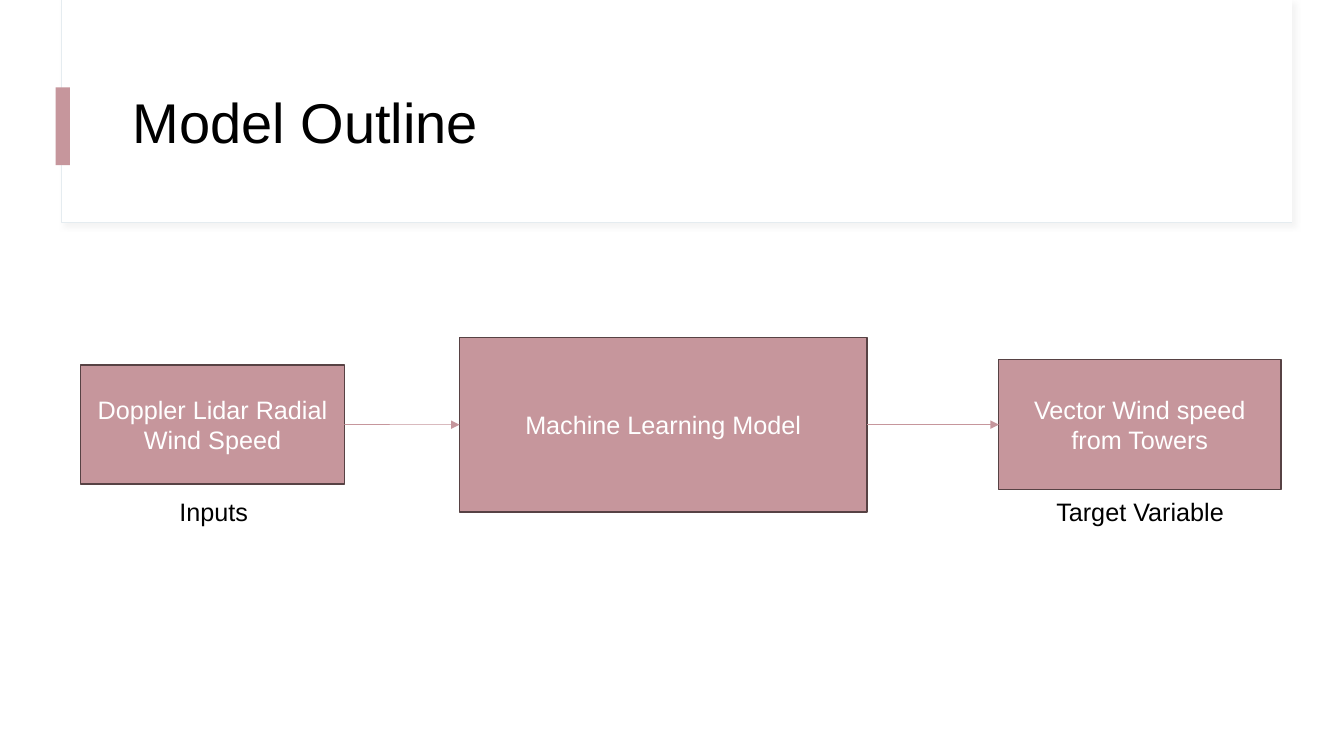
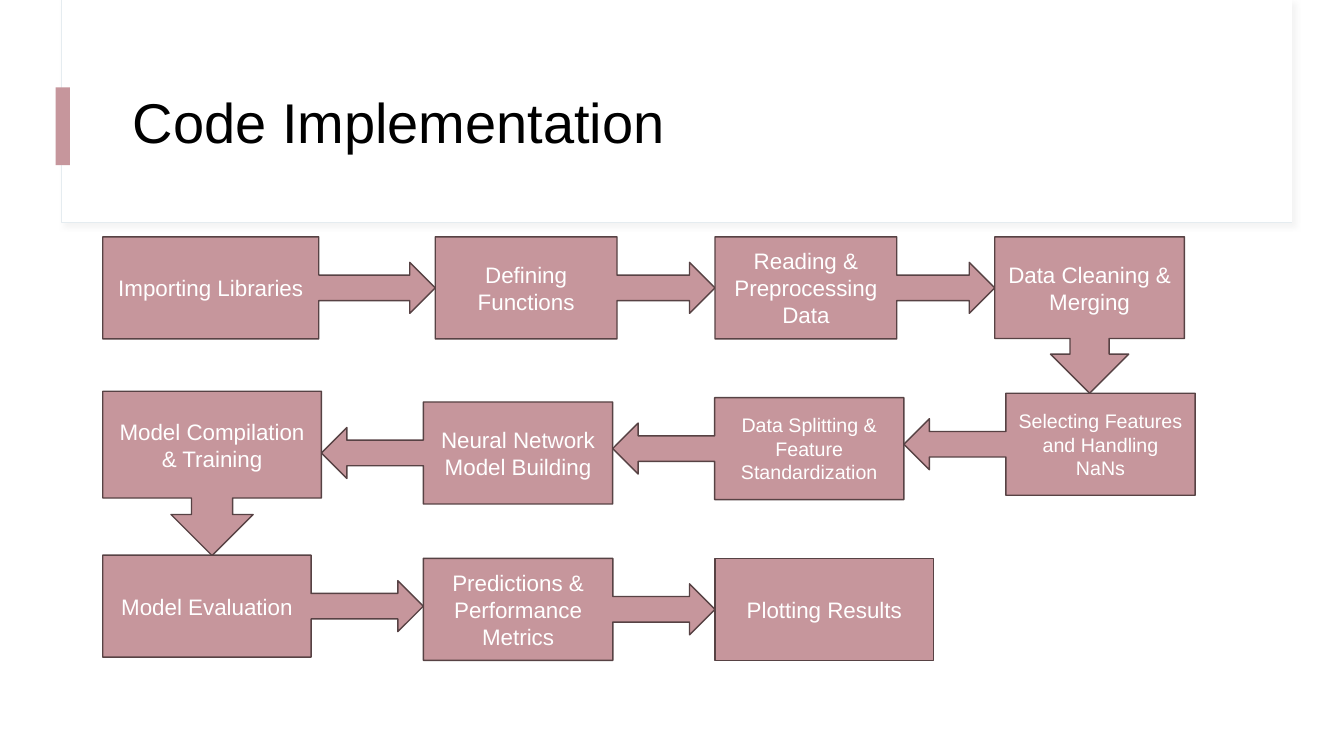
from dataclasses import dataclass

from lxml.etree import SubElement
from pptx import Presentation
from pptx.dml.color import RGBColor
from pptx.enum.shapes import MSO_CONNECTOR, MSO_SHAPE
from pptx.enum.text import MSO_ANCHOR, MSO_AUTO_SIZE, PP_ALIGN
from pptx.oxml.ns import qn
from pptx.util import Cm, Pt


@dataclass(frozen=True)
class Theme:
    font: str = "Arial"
    paper: str = "FFFFFF"
    ink: str = "000000"
    accent: str = "C6969C"
    outline: str = "574244"
    panel_edge: str = "E5ECF0"
    shadow: str = "D9D9D9"
    title_size: int = 40
    body_size: int = 18
    step_size: int = 16
    small_step_size: int = 14


@dataclass(frozen=True)
class Box:
    """A rectangle measured in centimetres."""
    left: float
    top: float
    width: float
    height: float

    @property
    def lengths(self):
        return [Cm(value) for value in (self.left, self.top, self.width, self.height)]


@dataclass(frozen=True)
class Step:
    """One flow step; drop is its vertical offset from the top of its row."""
    text: str
    width: float
    geometry: MSO_SHAPE
    drop: float = 0
    height: float = 2.57
    size: int = Theme.step_size


THEME = Theme()
HEADER = Box(1.55, 0, 31.01, 5.61)
OUTLINE_REGION = Box(2.03, 8.5, 30.25, 4.4)
FLOW_REGION = Box(2.59, 5.97, 27.53, 10.67)

RECTANGLE = MSO_SHAPE.RECTANGLE
RIGHT = MSO_SHAPE.RIGHT_ARROW_CALLOUT
LEFT = MSO_SHAPE.LEFT_ARROW_CALLOUT
DOWN = MSO_SHAPE.DOWN_ARROW_CALLOUT

# Each row: offset from the region top, reading direction, steps in reading order.
FLOW_ROWS = [
    (0, 1, [
        Step("Importing Libraries", 8.38, RIGHT),
        Step("Defining Functions", 7.05, RIGHT),
        Step("Reading & Preprocessing Data", 7.05, RIGHT),
        Step("Data Cleaning & Merging", 4.78, DOWN, height=3.94),
    ]),
    (3.94, -1, [
        Step("Selecting Features and Handling NaNs", 7.34, LEFT,
             size=THEME.small_step_size),
        Step("Data Splitting & Feature Standardization", 7.34, LEFT, 0.11,
             size=THEME.small_step_size),
        Step("Neural Network Model Building", 7.34, LEFT, 0.22),
        Step("Model Compilation & Training", 5.51, DOWN, -0.05, 4.14),
    ]),
    (8.02, 1, [
        Step("Model Evaluation", 8.08, RIGHT),
        Step("Predictions & Performance Metrics", 7.35, RIGHT, 0.08),
        Step("Plotting Results", 5.51, RECTANGLE, 0.08),
    ]),
]


def color(value):
    return RGBColor.from_string(value)


def write_text(shape, text, size, ink):
    frame = shape.text_frame
    frame.word_wrap = True
    frame.text = text
    paragraph = frame.paragraphs[0]
    font = paragraph.runs[0].font
    font.name, font.size = THEME.font, Pt(size)
    font.color.rgb = color(ink)
    return paragraph


def add_filled_shape(shapes, geometry, box, fill, line=None, line_width=1):
    shape = shapes.add_shape(geometry, *box.lengths)
    shape.fill.solid()
    shape.fill.fore_color.rgb = color(fill)
    if line:
        shape.line.color.rgb = color(line)
        shape.line.width = Pt(line_width)
    else:
        shape.line.fill.background()
    shape.shadow.inherit = False
    return shape


def add_text_block(shapes, geometry, box, text, size):
    """Add an accent-coloured shape with centred white text."""
    shape = add_filled_shape(shapes, geometry, box, THEME.accent, THEME.outline)
    paragraph = write_text(shape, text, size, THEME.paper)
    paragraph.alignment = PP_ALIGN.CENTER
    shape.text_frame.vertical_anchor = MSO_ANCHOR.MIDDLE
    return shape


def add_label(slide, box, text):
    label = slide.shapes.add_textbox(*box.lengths)
    write_text(label, text, THEME.body_size, THEME.ink)
    label.text_frame.auto_size = MSO_AUTO_SIZE.SHAPE_TO_FIT_TEXT


def add_soft_shadow(shape):
    effects = shape.element.spPr.find(qn("a:effectLst"))
    shadow = SubElement(effects, qn("a:outerShdw"), blurRad=str(Pt(4)),
                        dist=str(Pt(3)), dir=str(45 * 60000), rotWithShape="0")
    tint = SubElement(shadow, qn("a:srgbClr"), val=THEME.shadow)
    SubElement(tint, qn("a:alpha"), val="30000")


def connect(slide, source, target):
    """Draw an arrow from the right side of source to the left side of target."""
    arrow = slide.shapes.add_connector(MSO_CONNECTOR.STRAIGHT, 0, 0, 0, 0)
    arrow.begin_connect(source, 3)
    arrow.end_connect(target, 1)
    arrow.line.color.rgb = color(THEME.accent)
    arrow.line.width = Pt(0.5)
    properties = arrow.element.spPr
    SubElement(properties.find(qn("a:ln")), qn("a:tailEnd"), type="triangle")
    SubElement(properties, qn("a:effectLst"))


def add_header(slide, box, title):
    panel = add_filled_shape(slide.shapes, RECTANGLE, box, THEME.paper,
                             THEME.panel_edge, 0.75)
    add_soft_shadow(panel)
    face = Box(box.left + 0.02, box.top, box.width - 0.02, box.height - 0.02)
    add_filled_shape(slide.shapes, RECTANGLE, face, THEME.paper)
    marker = Box(box.left - 0.15, box.top + 2.2, 0.36, 1.96)
    add_filled_shape(slide.shapes, RECTANGLE, marker, THEME.accent)

    title_box = Box(box.left + 1.55, box.top + 1.52, 28.24, 3.28)
    heading = slide.shapes.add_textbox(*title_box.lengths)
    paragraph = write_text(heading, title, THEME.title_size, THEME.ink)
    paragraph.line_spacing = 0.9
    heading.text_frame.vertical_anchor = MSO_ANCHOR.MIDDLE


def add_model_outline(slide, region):
    """Place the three stages on one centre line, joined by arrows."""
    def add_stage(offset, width, height, text):
        box = Box(region.left + offset, region.top + (region.height - height) / 2,
                  width, height)
        return add_text_block(slide.shapes, RECTANGLE, box, text, THEME.body_size)

    model = add_stage(9.55, 10.27, region.height, "Machine Learning Model")
    inputs = add_stage(0, 6.65, 3, "Doppler Lidar Radial Wind Speed")
    target = add_stage(23.14, 7.11, 3.28, "Vector Wind speed from Towers")
    connect(slide, inputs, model)
    connect(slide, model, target)

    label_top = region.top + 3.88
    add_label(slide, Box(region.left + 24.34, label_top, 5.41, 1.03),
              "Target Variable")
    add_label(slide, Box(region.left + 2.24, label_top, 6.12, 1.03), "Inputs")


def add_code_flow(slide, region):
    """Lay the steps end to end, rows running alternately right and left."""
    group = slide.shapes.add_group_shape()
    for row_offset, direction, steps in FLOW_ROWS:
        edge = region.left if direction > 0 else region.left + region.width
        for step in steps:
            left = edge if direction > 0 else edge - step.width
            box = Box(left, region.top + row_offset + step.drop,
                      step.width, step.height)
            add_text_block(group.shapes, step.geometry, box, step.text, step.size)
            edge += direction * step.width


def main():
    presentation = Presentation()
    presentation.slide_width = Cm(33.87)
    presentation.slide_height = Cm(19.05)
    blank_layout = presentation.slide_layouts[6]
    for title, add_content, region in (
        ("Model Outline", add_model_outline, OUTLINE_REGION),
        ("Code Implementation", add_code_flow, FLOW_REGION),
    ):
        slide = presentation.slides.add_slide(blank_layout)
        add_header(slide, HEADER, title)
        add_content(slide, region)
    presentation.save("out.pptx")


if __name__ == "__main__":
    main()
